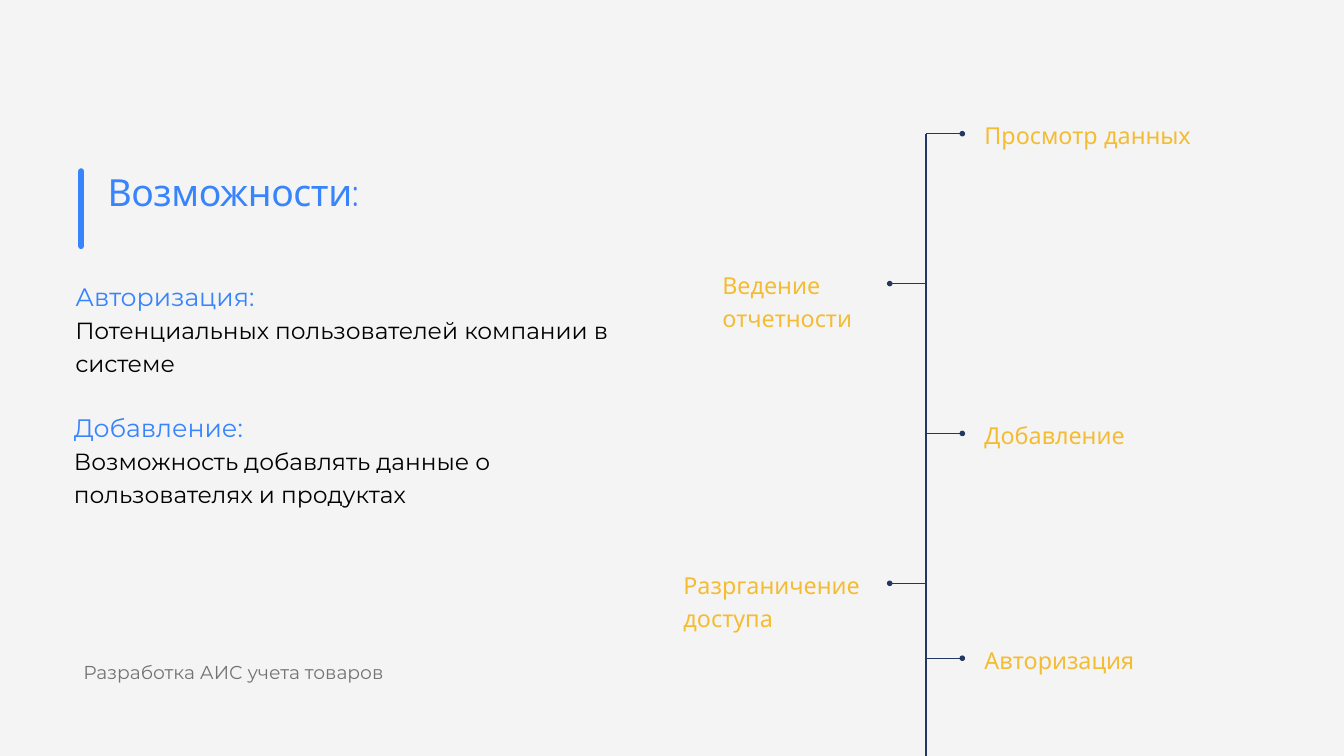
"""Build a slide of system features beside a branching timeline."""
import pptx
import pptx.dml.color
import pptx.enum.shapes
import pptx.enum.text
import pptx.oxml.ns
import pptx.util
from lxml import etree

RGBColor = pptx.dml.color.RGBColor
Inches = pptx.util.Inches
Pt = pptx.util.Pt
ALIGN = pptx.enum.text.PP_ALIGN

PAPER = RGBColor(0xF4, 0xF4, 0xF4)
NAVY = RGBColor(0x24, 0x37, 0x62)
BLUE = RGBColor(0x38, 0x84, 0xFD)
YELLOW = RGBColor(0xF4, 0xBC, 0x33)
BLACK = RGBColor(0x00, 0x00, 0x00)
GREY = RGBColor(0x73, 0x73, 0x73)

HEADING_FONT = "Quicksand"
BODY_FONT = "Montserrat"
WIDTH, HEIGHT = 20, 11.25

SPINE_X = 13.78
SPINE_TOP = 1.99
ROW_STEP = 2.23
BRANCH = 0.54
LABEL_RISE = 0.25
RIGHT_LABEL_X = 14.65

BRANCHES = [
    (0, 1, "Просмотр данных", RIGHT_LABEL_X, 3.37, 0.47),
    (1, -1, "Ведение отчетности", 10.75, 2.35, 0.98),
    (2, 1, "Добавление", RIGHT_LABEL_X, 3.37, 0.47),
    (3, -1, "Разрганичение доступа", 10.17, 3.07, 0.98),
    (3.5, 1, "Авторизация", RIGHT_LABEL_X, 3.37, 0.47),
]

FEATURES = [
    (1.12, 4.11, "Авторизация:", "Потенциальных пользователей компании в системе"),
    (1.1, 6.06, "Добавление:", "Возможность добавлять данные о пользователях и продуктах"),
]


def prepare_frame(box):
    """Remove margins, wrap the text and start it at the top."""
    frame = box.text_frame
    frame.margin_left = frame.margin_right = 0
    frame.margin_top = frame.margin_bottom = 0
    frame.vertical_anchor = pptx.enum.text.MSO_ANCHOR.TOP
    frame.word_wrap = True
    frame.auto_size = pptx.enum.text.MSO_AUTO_SIZE.SHAPE_TO_FIT_TEXT
    return frame


def write_line(para, text, size, font, color, spacing, align=ALIGN.LEFT):
    """Write one formatted run into a paragraph and return it."""
    para.alignment = align
    para.line_spacing = Pt(spacing)
    span = para.add_run()
    span.text = text
    span.font.size = Pt(size)
    span.font.name = font
    span.font.color.rgb = color
    return span


def add_text(slide, left, top, width, height):
    """Add an empty text box and return its frame."""
    box = slide.shapes.add_textbox(
        Inches(left), Inches(top), Inches(width), Inches(height))
    return prepare_frame(box)


def add_line(slide, start, end, color, weight, dot=False, rounded=False):
    """Add a straight line, optionally with an end dot or round caps."""
    line = slide.shapes.add_connector(
        pptx.enum.shapes.MSO_CONNECTOR.STRAIGHT,
        *(Inches(value) for value in (*start, *end)))
    line.line.color.rgb = color
    line.line.width = Pt(weight)
    properties = line._element.spPr
    outline = properties.find(pptx.oxml.ns.qn("a:ln"))
    if rounded:
        outline.set("cap", "rnd")
    if dot:
        etree.SubElement(outline, pptx.oxml.ns.qn("a:tailEnd"), type="oval")
    etree.SubElement(properties, pptx.oxml.ns.qn("a:effectLst"))


def add_title(slide):
    """Place the title beside its vertical accent bar."""
    title = slide.shapes.title
    title.left, title.top = Inches(1.6), Inches(2.58)
    title.width, title.height = Inches(7.14), Inches(1.23)
    para = prepare_frame(title).paragraphs[0]
    span = write_line(para, "Возможности:", 40, HEADING_FONT, BLUE, 44)
    span._r.get_or_add_rPr().set("spc", "-40")
    add_line(slide, (1.21, 2.55), (1.21, 3.66), BLUE, 6.75, rounded=True)


def add_feature(slide, left, top, heading, detail):
    """Add a feature heading with its description."""
    frame = add_text(slide, left, top, 8.12, 1.51)
    write_line(frame.paragraphs[0], heading, 27, BODY_FONT, BLUE, 37.8)
    write_line(frame.add_paragraph(), detail, 25, BODY_FONT, BLACK, 35)


def add_branch(slide, row, side, label, left, width, height):
    """Add a dotted branch of the timeline and its label."""
    y = SPINE_TOP + row * ROW_STEP
    add_line(slide, (SPINE_X, y), (SPINE_X + side * BRANCH, y), NAVY, 1.5, dot=True)
    frame = add_text(slide, left, y - LABEL_RISE, width, height)
    write_line(frame.paragraphs[0], label, 25, HEADING_FONT, YELLOW, 35)


def main():
    """Create and save the deck."""
    deck = pptx.Presentation()
    deck.slide_width, deck.slide_height = Inches(WIDTH), Inches(HEIGHT)
    slide = deck.slides.add_slide(deck.slide_layouts.get_by_name("Title Only"))
    slide.background.fill.solid()
    slide.background.fill.fore_color.rgb = PAPER

    add_line(slide, (SPINE_X, HEIGHT), (SPINE_X, SPINE_TOP), NAVY, 1.5)
    for branch in BRANCHES:
        add_branch(slide, *branch)
    add_title(slide)
    for feature in FEATURES:
        add_feature(slide, *feature)
    footer = add_text(slide, 1.12, 9.78, 4.71, 0.39)
    write_line(footer.paragraphs[0], "Разработка АИС учета товаров",
               20, BODY_FONT, GREY, 28, ALIGN.CENTER)
    deck.save("out.pptx")


if __name__ == "__main__":
    main()
